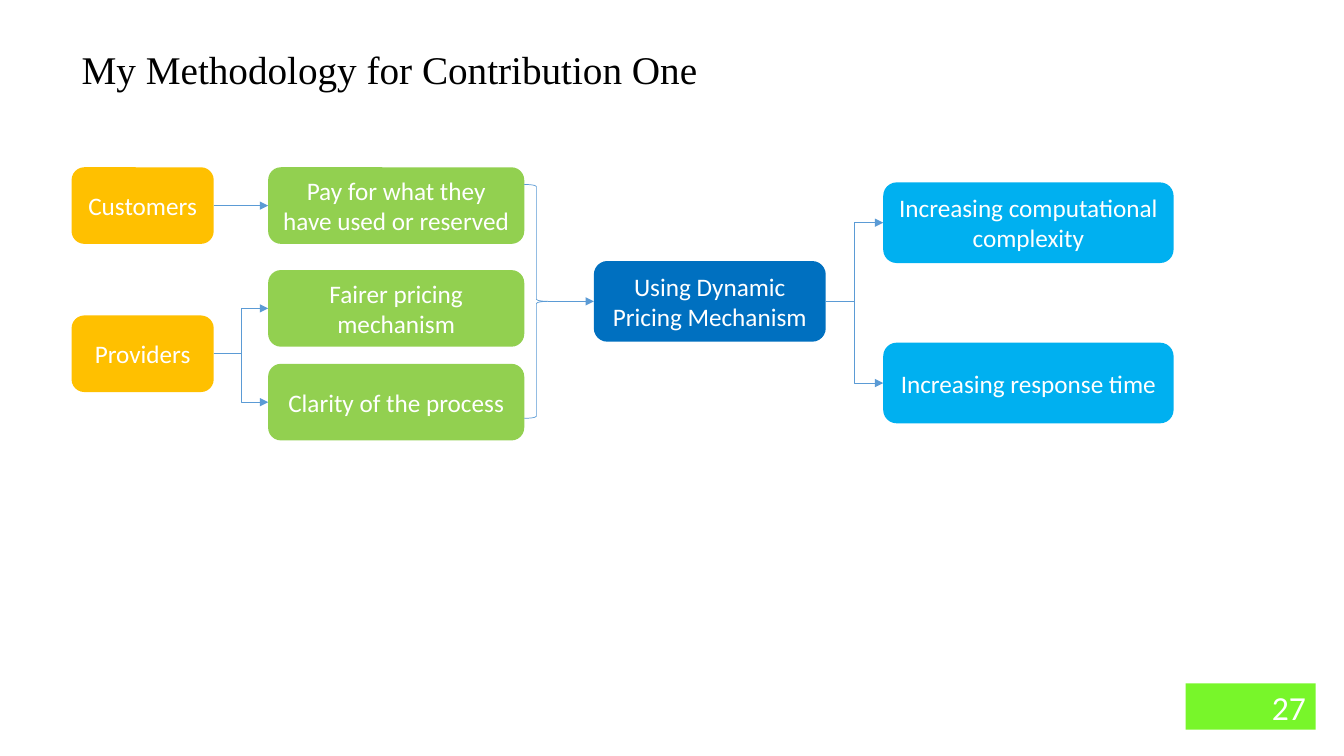
from lxml import etree
from pptx import Presentation
from pptx.dml.color import RGBColor
from pptx.enum.shapes import MSO_CONNECTOR, MSO_SHAPE
from pptx.enum.text import MSO_ANCHOR, PP_ALIGN
from pptx.oxml.ns import qn
from pptx.util import Inches, Pt

STRAIGHT, ELBOW = MSO_CONNECTOR.STRAIGHT, MSO_CONNECTOR.ELBOW
RECT, ROUND = MSO_SHAPE.RECTANGLE, MSO_SHAPE.ROUNDED_RECTANGLE
BRACE = MSO_SHAPE.RIGHT_BRACE
MIDDLE = MSO_ANCHOR.MIDDLE
CENTER, RIGHT, JUSTIFY = PP_ALIGN.CENTER, PP_ALIGN.RIGHT, PP_ALIGN.JUSTIFY
LEFT_SIDE, RIGHT_SIDE = 1, 3

BLACK = RGBColor(0x00, 0x00, 0x00)
WHITE = RGBColor(0xFF, 0xFF, 0xFF)
AMBER = RGBColor(0xFF, 0xC0, 0x00)
GREEN = RGBColor(0x92, 0xD0, 0x50)
BLUE = RGBColor(0x00, 0x70, 0xC0)
SKY = RGBColor(0x00, 0xB0, 0xF0)
LIME = RGBColor(0x78, 0xF6, 0x2A)
LINE = RGBColor(0x5B, 0x9B, 0xD5)


def write(sp, text, size=18, font="Calibri", color=WHITE, align=CENTER):
    tf = sp.text_frame
    tf.word_wrap = True
    tf.vertical_anchor = MIDDLE
    p = tf.paragraphs[0]
    p.alignment = align
    r = p.add_run()
    r.text = text
    r.font.size = Pt(size)
    r.font.name = font
    r.font.color.rgb = color


class FlowSlide:
    line_color = LINE
    line_width = Pt(0.5)

    def __init__(self, prs):
        self.s = prs.slides.add_slide(prs.slide_layouts[5])

    def title(self, text, x, y, w, h):
        sp = self.s.shapes.title
        sp.left, sp.top, sp.width, sp.height = map(Inches, (x, y, w, h))
        write(sp, text, size=28, font="Times New Roman", color=BLACK, align=JUSTIFY)

    def box(self, text, x, y, w, h, fill, shape=ROUND, **style):
        sp = self.s.shapes.add_shape(shape, *map(Inches, (x, y, w, h)))
        sp.shadow.inherit = False
        sp.fill.solid()
        sp.fill.fore_color.rgb = fill
        sp.line.fill.background()
        write(sp, text, **style)
        return sp

    def brace(self, x, y, w, h):
        sp = self.s.shapes.add_shape(BRACE, *map(Inches, (x, y, w, h)))
        sp.shadow.inherit = False
        sp.fill.background()
        self.stroke(sp)
        return sp

    def stroke(self, sp):
        sp.line.color.rgb = self.line_color
        sp.line.width = self.line_width

    def arrow(self, source, target, kind=ELBOW, join_start=True):
        c = self.s.shapes.add_connector(
            kind,
            source.left + source.width, source.top + source.height // 2,
            target.left, target.top + target.height // 2)
        if join_start:
            c.begin_connect(source, RIGHT_SIDE)
        c.end_connect(target, LEFT_SIDE)
        self.stroke(c)
        etree.SubElement(c.line._get_or_add_ln(), qn("a:tailEnd"), type="triangle")
        etree.SubElement(c._element.spPr, qn("a:effectLst"))


def main():
    prs = Presentation()
    prs.slide_width, prs.slide_height = Inches(13.33), Inches(7.5)
    flow = FlowSlide(prs)

    # Title and page number
    flow.title("My Methodology for Contribution One", 0.71, 0.4, 12.34, 0.57)
    flow.box("27", 11.76, 6.78, 1.29, 0.46, LIME, shape=RECT, size=24, align=RIGHT)

    # Parties
    customers, providers = [
        flow.box(text, 0.71, y, 1.41, 0.76, AMBER)
        for text, y in (("Customers", 1.66), ("Providers", 3.13))]

    # Needs
    pay, fairer, clarity = [
        flow.box(text, 2.66, y, 2.54, 0.76, GREEN)
        for text, y in (("Pay for what they have used or reserved", 1.66),
                        ("Fairer pricing mechanism", 2.68),
                        ("Clarity of the process", 3.61))]

    # Mechanism and its effects
    brace = flow.brace(5.2, 1.83, 0.24, 2.32)
    mechanism = flow.box("Using Dynamic Pricing Mechanism", 5.89, 2.59, 2.3, 0.8, BLUE)
    effects = [
        flow.box(text, 8.76, y, 2.88, 0.8, SKY)
        for text, y in (("Increasing computational complexity", 1.81),
                        ("Increasing response time", 3.4))]

    # Arrows
    flow.arrow(customers, pay, STRAIGHT)
    flow.arrow(brace, mechanism, STRAIGHT, join_start=False)
    for need in (fairer, clarity):
        flow.arrow(providers, need)
    for effect in effects:
        flow.arrow(mechanism, effect)

    prs.save("out.pptx")


if __name__ == "__main__":
    main()
